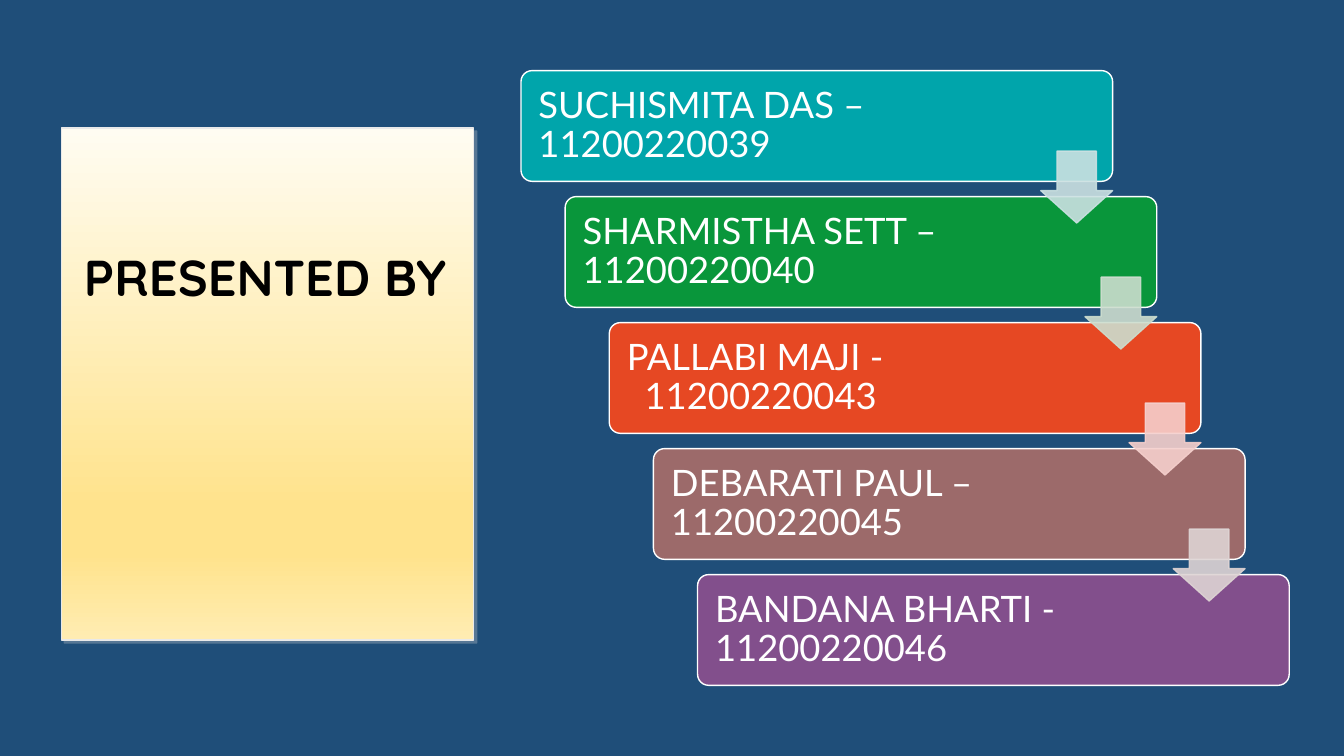
from dataclasses import dataclass

from lxml.etree import SubElement
from pptx import Presentation
from pptx.dml.color import RGBColor
from pptx.enum.shapes import MSO_SHAPE
from pptx.enum.text import MSO_ANCHOR, PP_ALIGN
from pptx.oxml.ns import qn
from pptx.util import Cm, Pt


@dataclass(frozen=True)
class Theme:
    back: str = "1F4E79"
    edge: str = "E9E9E9"
    shade: str = "D9D9D9"
    ink: str = "000000"
    light: str = "FFFFFF"
    panel: tuple = ((0, "FFFCF2"), (74, "FFE38C"), (83, "FFE38C"), (100, "FFECB2"))
    bars: tuple = ("00A5AB", "09963B", "E64823", "9C6A6A", "824F8C")
    arrows: tuple = ("CBE1E2", "CCDDCE", "F5CFCC", "DED4D4")
    head: str = "Quicksand"
    body: str = "Lato"
    title: int = 36
    label: int = 26


THEME = Theme()
NAMES = (
    "SUCHISMITA DAS – 11200220039",
    "SHARMISTHA SETT – 11200220040",
    "PALLABI MAJI - 11200220043",
    "DEBARATI PAUL – 11200220045",
    "BANDANA BHARTI - 11200220046",
)
HANGING = 2  # index of the name whose number is indented


def put(item, values):
    """Set each named attribute of item."""
    for key, value in values.items():
        setattr(item, key, value)


def add_color(parent, color, alpha=100):
    node = SubElement(parent, qn("a:srgbClr"), val=color)
    if alpha < 100:
        SubElement(node, qn("a:alpha"), val=str(alpha * 1000))


def add_block(slide, kind, box, fill=None, line=None, alpha=100):
    """Add a flat shape; box is left, top, width, height in cm."""
    block = slide.shapes.add_shape(kind, *map(Cm, box))
    block.shadow.inherit = False
    if fill:
        block.fill.solid()
        block.fill.fore_color.rgb = RGBColor.from_string(fill)
    if line:
        block.line.color.rgb = RGBColor.from_string(line)
        block.line.width = Pt(1)
    else:
        block.line.fill.background()
    if alpha < 100:
        for node in list(block._element.spPr.iter(qn("a:srgbClr"))):
            SubElement(node, qn("a:alpha"), val=str(alpha * 1000))
    return block


def write(shape, text, frame, para, font, color):
    put(shape.text_frame, {"word_wrap": True, **frame})
    line = shape.text_frame.paragraphs[0]
    line.text = text
    put(line, {"line_spacing": 0.9, **para})
    put(line.runs[0].font, font)
    line.runs[0].font.color.rgb = RGBColor.from_string(color)
    return line


def draw_panel(slide, box):
    left, top, width, height = box
    panel = add_block(slide, MSO_SHAPE.RECTANGLE, box, line=THEME.edge)
    panel.fill.gradient()
    panel.fill.gradient_angle = 270
    props = panel._element.spPr
    stops = props.find(qn("a:gradFill")).find(qn("a:gsLst"))
    for stop in list(stops):
        stops.remove(stop)
    for place, color in THEME.panel:
        add_color(SubElement(stops, qn("a:gs"), pos=str(place * 1000)), color)
    shade = SubElement(props.find(qn("a:effectLst")), qn("a:outerShdw"),
                       blurRad="0", dist=str(Pt(3)), dir="2700000",
                       algn="tl", rotWithShape="0")
    add_color(shade, THEME.shade, 30)

    area = (left + 0.05, top - 1.07, width - 0.23, height - 3.12)
    title = slide.shapes.add_textbox(*map(Cm, area))
    write(title, "PRESENTED BY", {"vertical_anchor": MSO_ANCHOR.MIDDLE},
          {"alignment": PP_ALIGN.CENTER},
          {"name": THEME.head, "size": Pt(THEME.title), "bold": True}, THEME.ink)


def draw_stairs(slide, box):
    """Fill box with name bars stepping down to the right, linked by arrows."""
    left, top, width, height = box
    wide, high, size = 14.91, 2.79, 1.81
    steps = len(NAMES) - 1
    shift, drop = (width - wide) / steps, (height - high) / steps
    spots = [(left + i * shift, top + i * drop) for i in range(len(NAMES))]
    frame = {"vertical_anchor": MSO_ANCHOR.MIDDLE, "margin_left": Cm(0.36),
             "margin_top": Cm(0.36), "margin_right": Cm(3.28),
             "margin_bottom": Cm(0.36)}
    para = {"alignment": PP_ALIGN.LEFT, "space_after": Pt(11)}
    font = {"name": THEME.body, "size": Pt(THEME.label)}

    for i, (name, color, (x, y)) in enumerate(zip(NAMES, THEME.bars, spots)):
        bar = add_block(slide, MSO_SHAPE.ROUNDED_RECTANGLE,
                        (x, y, wide, high), color, THEME.light)
        bar.adjustments[0] = 0.1
        line = write(bar, name, frame, para, font, THEME.light)
        if i == HANGING:
            props = line._p.get_or_add_pPr()
            props.set("marL", str(Cm(0.45)))
            props.set("indent", str(-Cm(0.45)))

    for color, (x, y) in zip(THEME.arrows, spots):
        arrow = add_block(slide, MSO_SHAPE.DOWN_ARROW,
                          (x + wide - size, y + 2.03, size, size),
                          color, color, 90)
        arrow.adjustments[0] = 0.55
        arrow.adjustments[1] = 0.45


def main():
    deck = Presentation()
    put(deck, {"slide_width": Cm(33.87), "slide_height": Cm(19.05)})
    slide = deck.slides.add_slide(deck.slide_layouts[6])
    add_block(slide, MSO_SHAPE.RECTANGLE, (0, 0, 33.87, 19.05), THEME.back)
    draw_panel(slide, (1.55, 3.23, 10.39, 12.9))
    draw_stairs(slide, (13.13, 1.78, 19.36, 15.49))
    deck.save("out.pptx")


if __name__ == "__main__":
    main()
